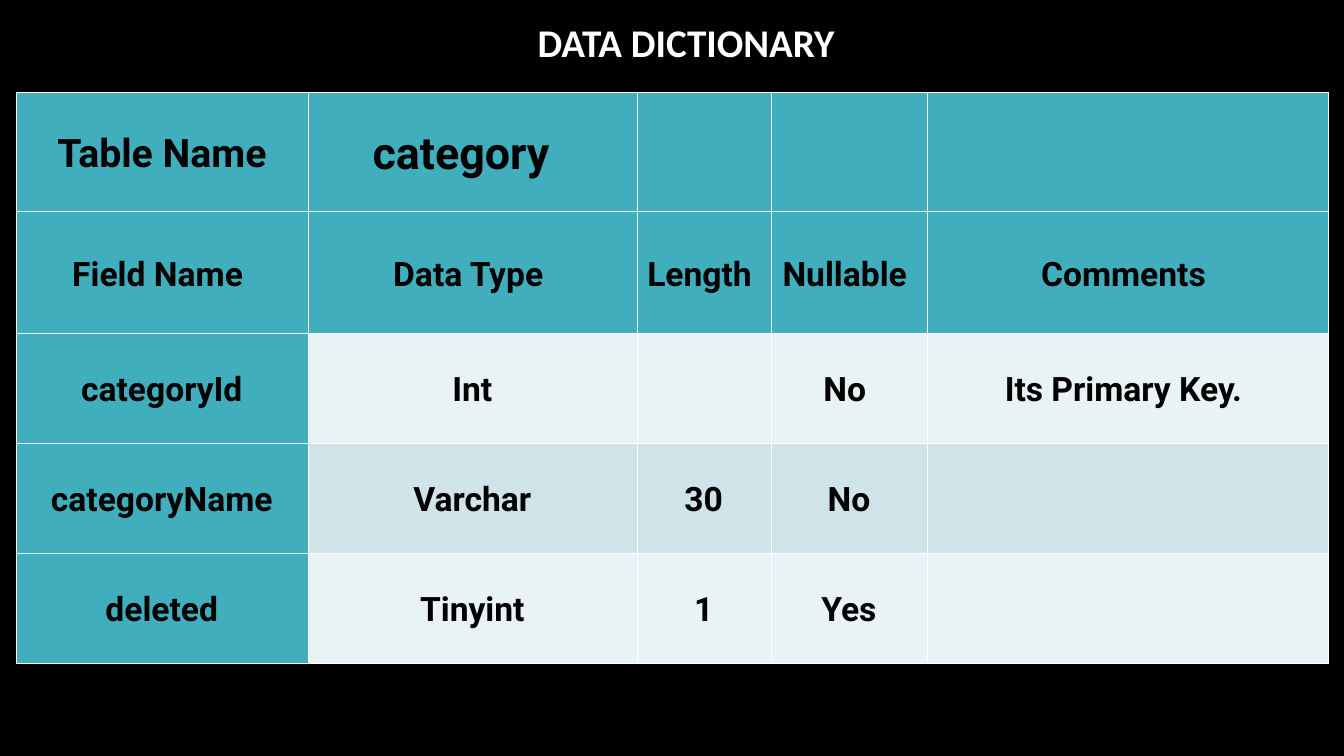
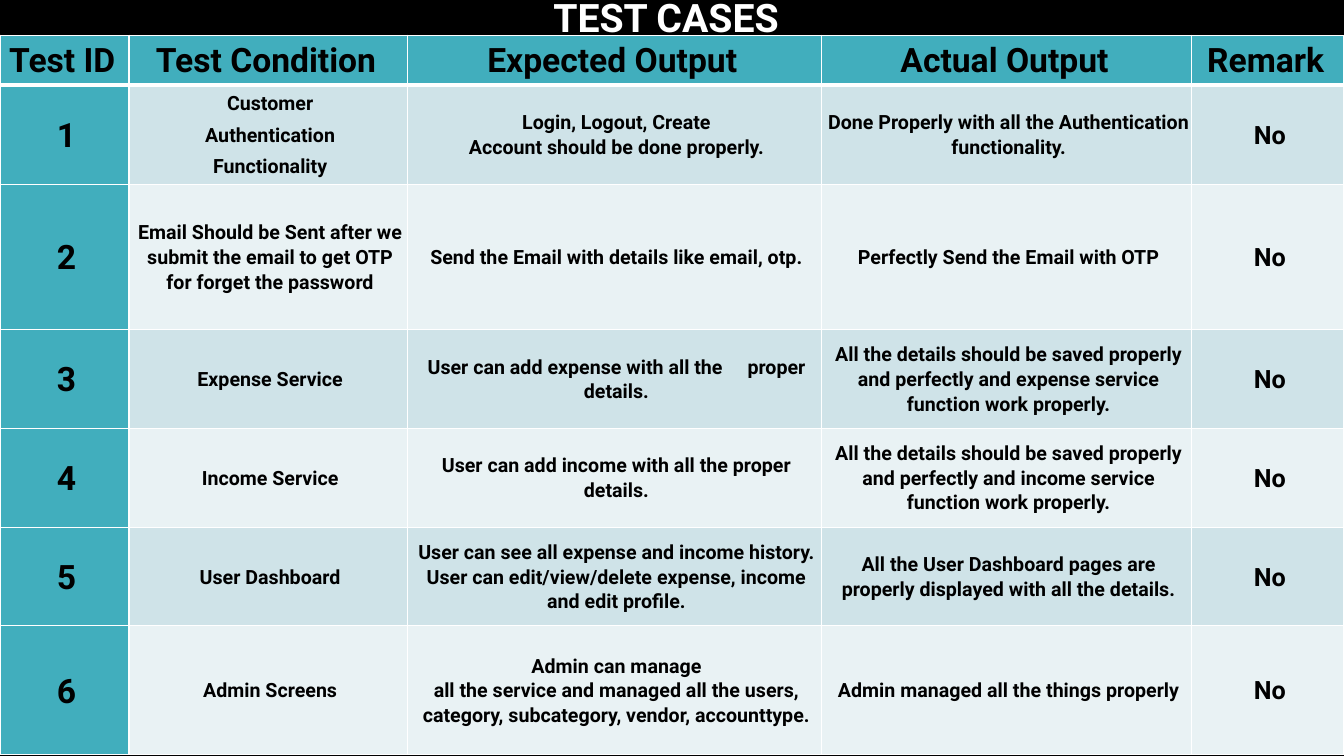
from pptx import Presentation
from pptx.dml.color import RGBColor
from pptx.enum.text import MSO_ANCHOR, MSO_AUTO_SIZE, PP_ALIGN
from pptx.oxml import parse_xml
from pptx.oxml.ns import nsdecls
from pptx.util import Inches, Pt

CENTER = PP_ALIGN.CENTER
MIDDLE = MSO_ANCHOR.MIDDLE
NO_AUTOFIT = MSO_AUTO_SIZE.NONE
TITLE_ONLY = 5

COLORS = {
    "background": "000000",
    "title": "FFFFFF",
    "text": "000000",
    "border": "FFFFFF",
    "header": "41AEBD",
    "pale": "E9F2F4",
    "tint": "CFE3E8",
}
BODY_FONT = "Roboto"
WIDE_GAP = 14

DICTIONARY_ROWS = [
    ["Table Name", "category ", "", "", ""],
    ["Field Name ", "Data Type ", "Length ", "Nullable ", "Comments "],
    ["categoryId", "Int", "", "No ", "Its Primary Key. "],
    ["categoryName", "Varchar", "30", "No", ""],
    ["deleted", "Tinyint", "1", "Yes", ""],
]

TEST_ROWS = [
    ["Test ID ", "Test Condition ", "Expected Output ", "Actual Output ", "Remark "],
    ["1", {"text": "Customer\nAuthentication\nFunctionality", "gap": 5},
     "Login, Logout, Create\nAccount should be done properly.",
     "Done Properly with all the Authentication functionality.", "No"],
    ["2", "Email Should be Sent after we submit the email to get OTP for forget the password",
     "Send the Email with details like email, otp.",
     "Perfectly Send the Email with OTP", "No"],
    ["3", "Expense Service",
     "User can add expense with all the\tproper details.",
     "All the details should be saved properly and perfectly and expense service "
     "function work properly.", "No"],
    ["4", "Income Service",
     "User can add income with all the proper details.",
     "All the details should be saved properly and perfectly and income service "
     "function work properly.", "No"],
    ["5", "User Dashboard",
     "User can see all expense and income history. User can edit/view/delete expense, "
     "income and edit profile.",
     "All the User Dashboard pages are properly displayed with all the details.", "No"],
    ["6", "Admin Screens",
     "Admin can manage\nall the service and managed all the users, category, subcategory, "
     "vendor, accounttype.",
     "Admin managed all the things properly", "No"],
]


def rgb(name):
    return RGBColor.from_string(COLORS[name])


def write(tf, text, size, font=BODY_FONT, color="text", line=1.07, gap=0, after=4.5):
    tf.word_wrap = True
    lines = text.split("\n")
    for i, content in enumerate(lines):
        p = tf.add_paragraph() if i else tf.paragraphs[0]
        p.alignment = CENTER
        p.line_spacing = line
        p.space_before = Pt(0)
        p.space_after = Pt(after if i == len(lines) - 1 else gap)
        for j, piece in enumerate(content.split("\t")):
            for part in ([" ", piece] if j else [piece]):
                r = p.add_run()
                r.text = part
                r.font.name = font
                r.font.size = Pt(size)
                r.font.bold = True
                r.font.color.rgb = rgb(color)
                if part == " ":
                    r.font._element.set("spc", str(WIDE_GAP * 100))


def add_titled_slide(prs, title, left, top, font):
    s = prs.slides.add_slide(prs.slide_layouts[TITLE_ONLY])
    sp = s.shapes.title
    sp.left, sp.top = Inches(left), Inches(top)
    sp.width, sp.height = Inches(6.67), Inches(0.57)
    tf = sp.text_frame
    tf.auto_size = NO_AUTOFIT
    tf.vertical_anchor = MIDDLE
    write(tf, title, 28, font, "title", line=1, after=0)
    return s


def set_borders(cell, **widths):
    tc_pr = cell._tc.get_or_add_tcPr()
    for side in "LRTB":
        tc_pr.append(parse_xml(
            f'<a:ln{side} {nsdecls("a")} w="{Pt(widths.get(side, 1))}">'
            f'<a:solidFill><a:srgbClr val="{COLORS["border"]}"/></a:solidFill>'
            f'</a:ln{side}>'))


def add_grid(s, rows, left, top, widths, heights, size_of, margins,
             header_rows=1, header_line=1):
    frame = s.shapes.add_table(len(rows), len(widths), Inches(left), Inches(top),
                               Inches(sum(widths)), Inches(sum(heights)))
    table = frame.table
    for column, width in zip(table.columns, widths):
        column.width = Inches(width)
    for row, height in zip(table.rows, heights):
        row.height = Inches(height)
    for i, row in enumerate(rows):
        for j, content in enumerate(row):
            cell = table.cell(i, j)
            cell.vertical_anchor = MIDDLE
            (cell.margin_left, cell.margin_top,
             cell.margin_right, cell.margin_bottom) = map(Inches, margins)
            set_borders(cell,
                        B=header_line if i == header_rows - 1 else 1,
                        T=header_line if i == header_rows else 1)
            is_header = i < header_rows or j == 0
            fill = "header" if is_header else ("tint" if i % 2 else "pale")
            cell.fill.solid()
            cell.fill.fore_color.rgb = rgb(fill)
            if content:
                options = content if isinstance(content, dict) else {"text": content}
                write(cell.text_frame, size=size_of(i, j), **options)
    return table


def dictionary_size(row, column):
    return 24 if row else (32 if column else 28)


def test_size(row, column):
    if row == 0 or column == 0:
        return 24
    return 18 if column == 4 else 14


def add_dictionary_slide(prs):
    s = add_titled_slide(prs, "DATA DICTIONARY", 3.47, 0.13, "Calibri")
    table = add_grid(s, DICTIONARY_ROWS, 0.16, 0.92,
                     [2.9, 3.26, 1.33, 1.55, 3.98], [1.18, 1.21] + [1.09] * 3,
                     dictionary_size, (0.07, 0.01, 0.08, 0), header_rows=2)
    table.cell(0, 1).margin_right = Inches(0.19)


def add_test_slide(prs):
    s = add_titled_slide(prs, "TEST CASES", 3.27, -0.12, BODY_FONT)
    add_grid(s, TEST_ROWS, 0, 0.35,
             [1.28, 2.76, 4.11, 3.67, 1.51], [0.49, 0.99, 1.44] + [0.98] * 3 + [1.28],
             test_size, (0.04, 0, 0, 0), header_line=3)


def main():
    prs = Presentation()
    prs.slide_width, prs.slide_height = Inches(13.33), Inches(7.5)
    fill = prs.slide_master.background.fill
    fill.solid()
    fill.fore_color.rgb = rgb("background")
    add_dictionary_slide(prs)
    add_test_slide(prs)
    prs.save("out.pptx")


if __name__ == "__main__":
    main()
